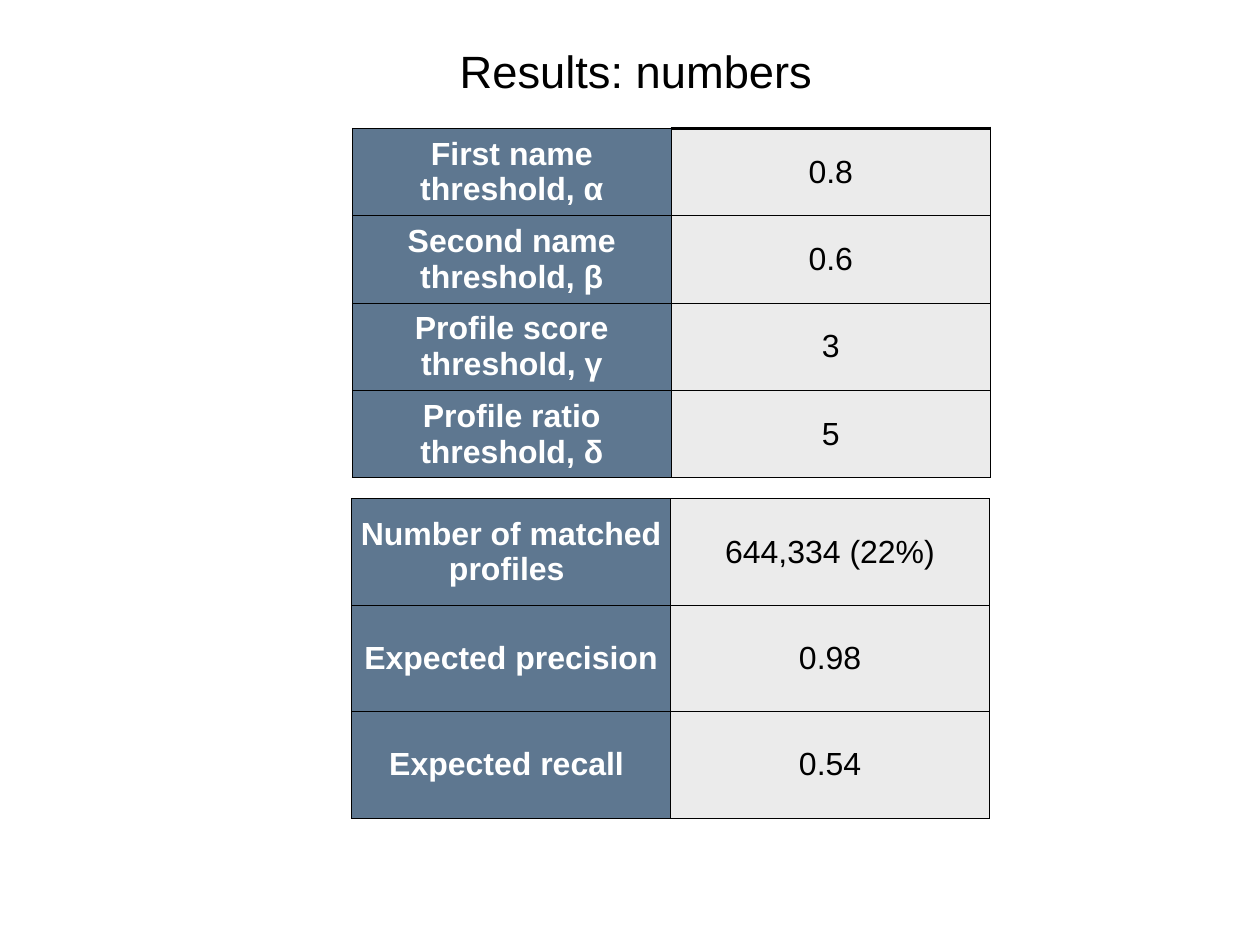
"""Build the results slide with its two tables of numbers."""
from dataclasses import dataclass

from lxml import etree
from pptx import Presentation
from pptx import util as u
from pptx.dml import color
from pptx.enum import text
from pptx.oxml import ns


@dataclass(frozen=True)
class Theme:
    """Hold the colours, type sizes and line widths."""
    font: str = "Arial"
    ink: str = "000000"
    label_ink: str = "FFFFFF"
    label_fill: str = "5E7790"
    value_fill: str = "EBEBEB"
    title_size: float = 36.8
    table_size: float = 26
    line: float = 1
    heavy_line: float = 3.15
    inset: float = 0.06


def apply(target, values):
    """Set each attribute of the target from a dict."""
    for name, value in values.items():
        setattr(target, name, value)


class SlideBuilder:
    """Place styled elements on a slide with a grid of 64 columns by 48 rows."""

    def __init__(self, presentation, theme):
        """Add a blank slide and work out the grid."""
        self.theme = theme
        self.slide = presentation.slides.add_slide(presentation.slide_layouts[6])
        self.column = presentation.slide_width / 64
        self.row = presentation.slide_height / 48

    def box(self, left, top, width, height):
        """Turn grid columns and rows into slide lengths."""
        return (round(left * self.column), round(top * self.row),
                round(width * self.column), round(height * self.row))

    def add_text(self, frame, content, size, ink, bold=False):
        """Add one centred, styled line of text."""
        paragraph = frame.paragraphs[0]
        paragraph.alignment = text.PP_ALIGN.CENTER
        run = paragraph.add_run()
        run.text = content
        apply(run.font, {"name": self.theme.font, "size": u.Pt(size), "bold": bold})
        run.font.color.rgb = color.RGBColor.from_string(ink)

    def insets(self):
        """Give the margins and anchor shared by title and cells."""
        sides = ("left", "top", "right", "bottom")
        values = {f"margin_{side}": u.Inches(self.theme.inset) for side in sides}
        return values | {"vertical_anchor": text.MSO_ANCHOR.MIDDLE}

    def title(self, content, *place):
        """Add the slide title."""
        frame = self.slide.shapes.add_textbox(*self.box(*place)).text_frame
        apply(frame, self.insets() | {"word_wrap": True})
        self.add_text(frame, content, self.theme.title_size, self.theme.ink)

    def borders(self, cell, top_width):
        """Draw the four sides of a cell."""
        properties = cell._tc.get_or_add_tcPr()
        for index, side in enumerate("LRTB"):
            width = top_width if side == "T" else self.theme.line
            line = etree.Element(ns.qn(f"a:ln{side}"), w=str(u.Pt(width)))
            fill = etree.SubElement(line, ns.qn("a:solidFill"))
            etree.SubElement(fill, ns.qn("a:srgbClr"), val=self.theme.ink)
            properties.insert(index, line)

    def table(self, records, left, top, width, row_height, heavy_top=False):
        """Add a table of bold labels and their values."""
        theme = self.theme
        place = self.box(left, top, width, row_height * len(records))
        table = self.slide.shapes.add_table(len(records), 2, *place).table
        apply(table, {"first_row": False, "horz_banding": False})
        styles = ((theme.label_fill, theme.label_ink, True),
                  (theme.value_fill, theme.ink, False))
        for row, record in enumerate(records):
            for column, (content, (fill, ink, bold)) in enumerate(zip(record, styles)):
                cell = table.cell(row, column)
                apply(cell, self.insets())
                cell.fill.solid()
                cell.fill.fore_color.rgb = color.RGBColor.from_string(fill)
                heavy = heavy_top and (row, column) == (0, 1)
                self.borders(cell, theme.heavy_line if heavy else theme.line)
                self.add_text(cell.text_frame, content, theme.table_size, ink, bold)


def main():
    """Build and save the presentation."""
    presentation = Presentation()
    apply(presentation, {"slide_width": u.Inches(14.22), "slide_height": u.Inches(10.67)})
    builder = SlideBuilder(presentation, Theme())
    builder.title("Results: numbers", 15.03, 1.98, 34.56, 3.15)
    thresholds = [("First name threshold, α", "0.8"),
                  ("Second name threshold, β", "0.6"),
                  ("Profile score threshold, γ", "3"),
                  ("Profile ratio threshold, δ", "5")]
    outcomes = [("Number of matched profiles ", "644,334 (22%)"),
                ("Expected precision", "0.98"),
                ("Expected recall ", "0.54")]
    builder.table(thresholds, 17.9, 6.52, 32.4, 4.36, heavy_top=True)
    builder.table(outcomes, 17.87, 25.33, 32.4, 5.41)
    presentation.save("out.pptx")


if __name__ == "__main__":
    main()
